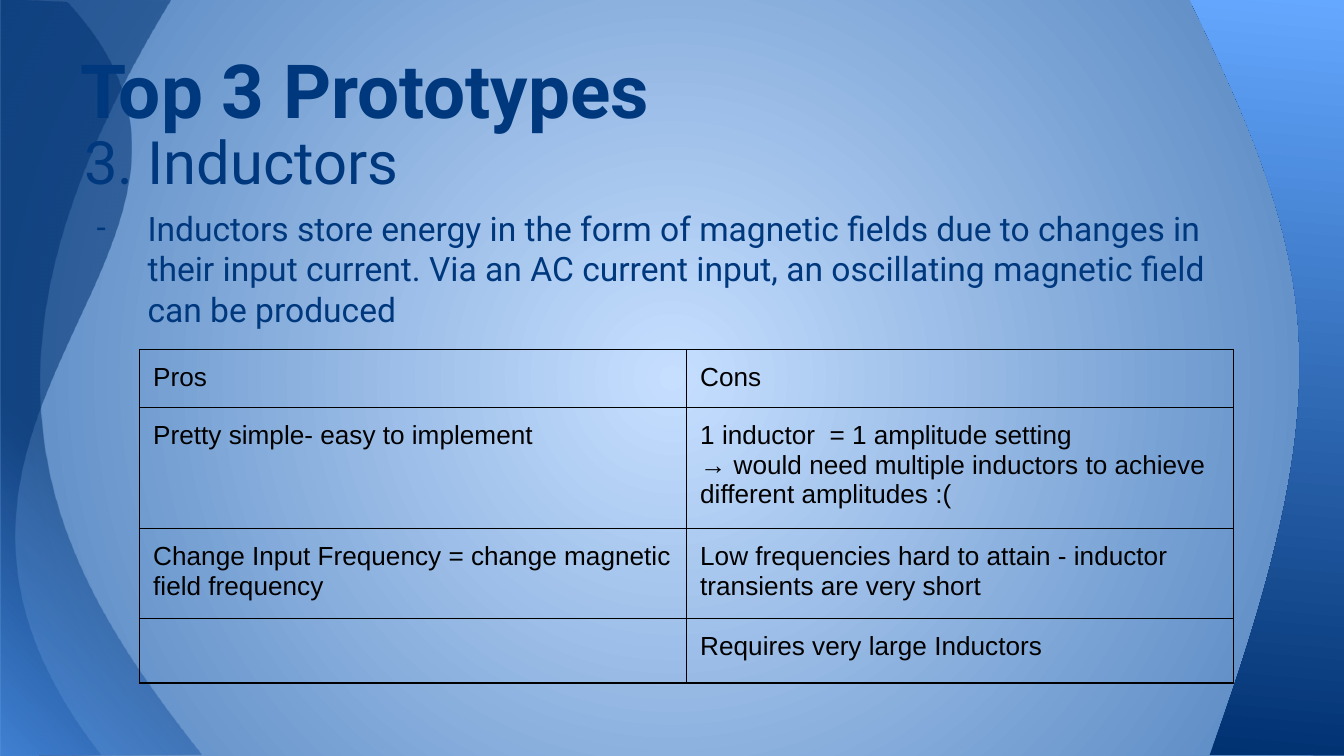
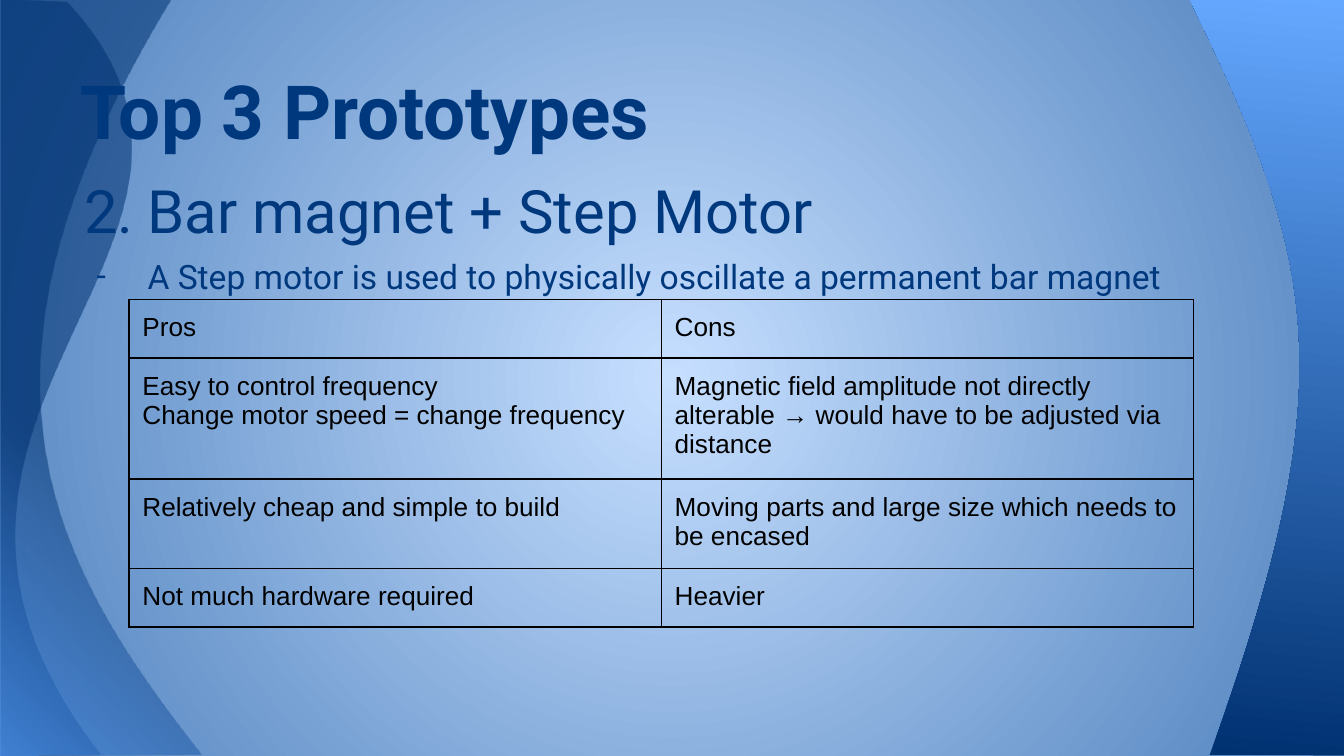
import pptx
import pptx.util
import pptx.oxml
import pptx.oxml.ns
import pptx.dml.color
import pptx.enum.text
from dataclasses import dataclass


@dataclass(frozen=True)
class Theme:
    ink: str = "00387E"
    text: str = "000000"
    deep: str = "003171"
    mid: str = "549FFF"
    sky: str = "65A8FF"
    glow: str = "C6DFFF"
    edge: str = "4F81BD"
    face: str = "Roboto"
    plain: str = "Arial"
    title: int = 40
    head: int = 32
    body: int = 18
    table: int = 14
    rule: float = 0.75


look = Theme()
deck = pptx.Presentation()
deck.slide_width = pptx.util.Inches(10)
deck.slide_height = pptx.util.Inches(5.625)
unit = deck.slide_width / 100
space = pptx.oxml.ns.nsdecls("a")


def cells(*counts):
    return [round(count * unit) for count in counts]


def paint(fill, root, stops, alpha, shade):
    fill.gradient()
    old = root.xpath(".//a:gradFill")[0]
    marks = "".join(
        f'<a:gs pos="{pos * 1000}"><a:srgbClr val="{tint}">'
        f'<a:alpha val="{alpha * 1000}"/></a:srgbClr></a:gs>'
        for pos, tint in stops
    )
    new = f'<a:gradFill {space} rotWithShape="1"><a:gsLst>{marks}</a:gsLst>{shade}</a:gradFill>'
    old.getparent().replace(old, pptx.oxml.parse_xml(new))


ring = '<a:path path="circle"><a:fillToRect l="{}" t="{}" r="{}" b="{}"/></a:path>'
center = ring.format(50000, 50000, 50000, 50000)
corner = ring.format(0, 100000, 100000, 0)
slope = '<a:lin ang="16500000" scaled="0"/>'

blank = deck.slide_layouts[6]
for hold in list(blank.placeholders):
    hold.element.getparent().remove(hold.element)
paint(blank.background.fill, blank.element,
      [(0, look.glow), (100, look.edge)], 100, center)

dim = [(0, look.mid), (41, look.deep), (100, look.deep)]
bands = [
    ([(15, 56.1), (-0.1, 56.2), (0, -0.2), (12.7, 0),
      (-3.8, 27.2), (3.3, 41.3), (15, 56.1)], dim, 54, corner),
    ([(7.5, 56.1), (0.1, 56.2), (0.1, 0), (5, 0.2),
      (21.7, 18.2), (-12.2, 30.8), (7.5, 56.1)], dim, 54, corner),
    ([(100.5, -0.1), (100.5, 56.2), (90, 56.2),
      (100.1, 28.4), (98.1, 19.6), (88.5, -0.1)],
     [(0, look.deep), (100, look.sky)], 100, slope),
]

pages = [
    dict(
        top=0, body=8.3, start=3, head="Inductors",
        note="Inductors store energy in the form of magnetic fields due to changes in "
             "their input current. Via an AC current input, an oscillating magnetic "
             "field can be produced",
        grid=(10.4, 26), wide=40.7, rows=[3.8, 8.2, 4.3, 4.8],
        rest=[
            ("Pretty simple- easy to implement",
             "1 inductor  = 1 amplitude setting\n"
             "→ would need multiple inductors to achieve different amplitudes :("),
            ("Change Input Frequency = change magnetic field frequency",
             "Low frequencies hard to attain - inductor transients are very short"),
            ("", "Requires very large Inductors"),
        ],
    ),
    dict(
        top=1.6, body=11.9, start=2, head="Bar magnet + Step Motor",
        note="A Step motor is used to physically oscillate a permanent bar magnet",
        grid=(9.6, 22.3), wide=39.6, rows=[4.2, 4.2, 3.2, 4.2],
        rest=[
            ("Easy to control frequency\nChange motor speed = change frequency",
             "Magnetic field amplitude not directly alterable → would have to be "
             "adjusted via distance"),
            ("Relatively cheap and simple to build",
             "Moving parts and large size which needs to be encased"),
            ("Not much hardware required", "Heavier"),
        ],
    ),
]

slides = [deck.slides.add_slide(blank) for page in pages]

for points, stops, alpha, shade in bands:
    first, *rest = [cells(*point) for point in points]
    draft = slides[0].shapes.build_freeform(*first, scale=1.0)
    draft.add_line_segments(rest, close=True)
    band = draft.convert_to_shape()
    band.shadow.inherit = False
    paint(band.fill, band.element, stops, alpha, shade)
    band.line.fill.background()
    bend = band.element.xpath(".//a:lnTo")[-3:]
    curve = pptx.oxml.parse_xml(f"<a:cubicBezTo {space}/>")
    bend[0].addprevious(curve)
    for leg in bend:
        curve.append(leg[0])
        leg.getparent().remove(leg)
    blank.shapes.element.append(band.element)

for slide, page in zip(slides, pages):
    body = slide.shapes.add_textbox(*cells(5, page["body"], 90, 39.7)).text_frame
    title = slide.shapes.add_textbox(*cells(5, page["top"], 90, 10.9)).text_frame
    body.text = page["head"] + "\n" + page["note"]
    title.text = "Top 3 Prototypes"
    title.vertical_anchor = pptx.enum.text.MSO_ANCHOR.BOTTOM
    for frame, sizes in ((body, (look.head, look.body)), (title, (look.title,))):
        frame.word_wrap = True
        frame.margin_left, frame.margin_top, frame.margin_right, frame.margin_bottom = cells(1, 1, 1, 1)
        for para, size in zip(frame.paragraphs, sizes):
            font = para.runs[0].font
            font.size = pptx.util.Pt(size)
            font.name = look.face
            font.bold = frame is title
            font.color.rgb = pptx.dml.color.RGBColor.from_string(look.ink)

    marks = [
        (4.7, f'<a:buAutoNum {space} type="arabicPeriod" startAt="{page["start"]}"/>'),
        (3.8, f'<a:buChar {space} char="-"/>'),
    ]
    for para, (hang, mark) in zip(body.paragraphs, marks):
        para.space_before = pptx.util.Pt(6)
        props = para._p.get_or_add_pPr()
        props.set("marL", str(cells(5)[0]))
        props.set("indent", str(cells(-hang)[0]))
        tint = f'<a:buClr {space}><a:srgbClr val="{look.ink}"/></a:buClr>'
        face = f'<a:buFont {space} typeface="{look.face}"/>'
        for part in (tint, face, mark):
            props.append(pptx.oxml.parse_xml(part))

    rows = [("Pros", "Cons")] + page["rest"]
    place = cells(*page["grid"], 2 * page["wide"], sum(page["rows"]))
    table = slide.shapes.add_table(len(rows), 2, *place).table
    table.first_row = table.horz_banding = False
    for col in table.columns:
        col.width = cells(page["wide"])[0]
    for r, (row, tall) in enumerate(zip(rows, page["rows"])):
        table.rows[r].height = cells(tall)[0]
        for c, words in enumerate(row):
            cell = table.cell(r, c)
            cell.text_frame.text = words
            cell.margin_left, cell.margin_top, cell.margin_right, cell.margin_bottom = cells(1, 1, 1, 1)
            cell.fill.background()
            for para in cell.text_frame.paragraphs:
                para.font.size = pptx.util.Pt(look.table)
                for run in para.runs:
                    run.font.size = pptx.util.Pt(look.table)
                    run.font.name = look.plain
                    run.font.color.rgb = pptx.dml.color.RGBColor.from_string(look.text)
            props = cell._tc.get_or_add_tcPr()
            for i, side in enumerate("LRTB"):
                props.insert(i, pptx.oxml.parse_xml(
                    f'<a:ln{side} {space} w="{pptx.util.Pt(look.rule)}"><a:solidFill>'
                    f'<a:srgbClr val="{look.text}"/></a:solidFill></a:ln{side}>'))

deck.save("out.pptx")
